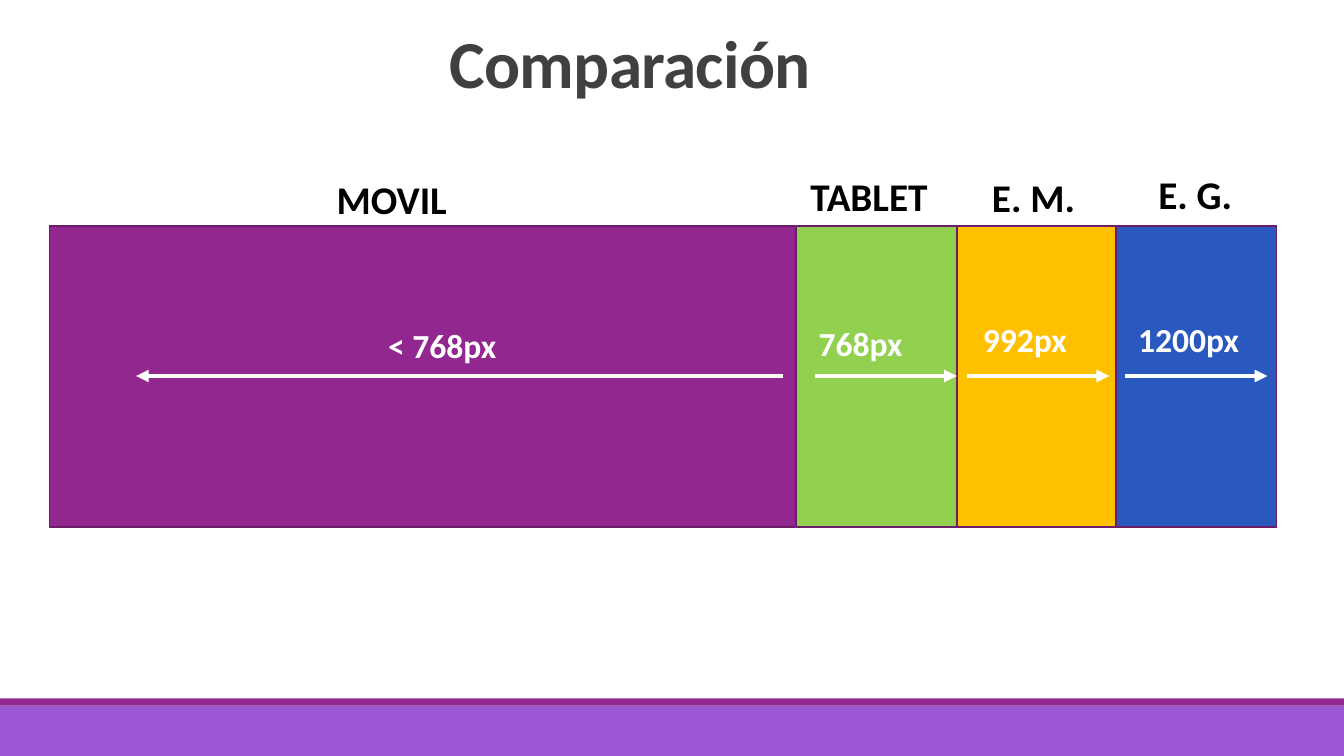
import pptx
import pptx.dml.color
import pptx.enum.shapes
import pptx.enum.text
import pptx.oxml.ns
import pptx.util
from lxml import etree
from pptx.util import Inches

FONT = "Calibri"
BAND_TOP, BAND_HEIGHT = 2.24, 2.99
ARROW_Y = 3.73

# left, width, fill, (name, left, top, width), (size, left, top, width), arrow start and end
RANGES = [
    (0.49, 7.4, "92278F", ("MOVIL", 3.24, 1.69, 1.31),
     ("< 768px", 3.75, 3.17, 1.28), (7.77, 1.35)),
    (7.9, 1.59, "92D050", ("TABLET", 7.94, 1.66, 1.38),
     ("768px", 8.02, 3.15, 1.04), (8.08, 9.49)),
    (9.49, 1.59, "FFC000", ("E. M.", 9.74, 1.67, 1.04),
     ("992px", 9.65, 3.11, 1.04), (9.59, 11)),
    (11.07, 1.59, "2958BE", ("E. G.", 11.39, 1.64, 0.94),
     ("1200px", 11.19, 3.11, 1.21), (11.16, 12.57)),
]


def paint(color_format, value):
    """Set a fill, line or font colour from a hex string."""
    color_format.rgb = pptx.dml.color.RGBColor.from_string(value)


def write(box, text, size, color, align=None, line_spacing=None, tracking=None):
    """Put one bold paragraph into a shape; tracking is in points."""
    para = box.text_frame.paragraphs[0]
    para.alignment = align
    para.line_spacing = line_spacing
    span = para.add_run()
    span.text = text
    span.font.name = FONT
    span.font.size = pptx.util.Pt(size)
    span.font.bold = True
    paint(span.font.color, color)
    if tracking is not None:
        span.font._element.set("spc", str(round(tracking * 100)))


def add_block(page, left, top, width, height, fill, outline=None):
    """Add a flat rectangle, outlined only when a line colour is given."""
    block = page.shapes.add_shape(
        pptx.enum.shapes.MSO_SHAPE.RECTANGLE,
        Inches(left), Inches(top), Inches(width), Inches(height))
    block.shadow.inherit = False
    block.fill.solid()
    paint(block.fill.fore_color, fill)
    if outline:
        paint(block.line.color, outline)
        block.line.width = pptx.util.Pt(1.25)
    else:
        block.line.fill.background()


def add_label(page, text, left, top, width, height, size, color):
    """Add a one-line label that does not wrap."""
    box = page.shapes.add_textbox(
        Inches(left), Inches(top), Inches(width), Inches(height))
    box.text_frame.word_wrap = False
    box.text_frame.auto_size = pptx.enum.text.MSO_AUTO_SIZE.SHAPE_TO_FIT_TEXT
    write(box, text, size, color)


def add_arrow(page, start, end):
    """Add a white horizontal arrow pointing at end."""
    arrow = page.shapes.add_connector(
        pptx.enum.shapes.MSO_CONNECTOR.STRAIGHT,
        Inches(start), Inches(ARROW_Y), Inches(end), Inches(ARROW_Y))
    paint(arrow.line.color, "FFFFFF")
    arrow.line.width = pptx.util.Pt(3)
    qn = pptx.oxml.ns.qn
    etree.SubElement(arrow.line._get_or_add_ln(), qn("a:tailEnd"), type="triangle")
    etree.SubElement(arrow._element.spPr, qn("a:effectLst"))


def set_title(page, text):
    """Place and format the title placeholder."""
    title = page.shapes.title
    title.left, title.top = Inches(0.75), Inches(0.28)
    title.width, title.height = Inches(11), Inches(1.59)
    title.text_frame.word_wrap = True
    title.text_frame.auto_size = pptx.enum.text.MSO_AUTO_SIZE.NONE
    title.text_frame.vertical_anchor = pptx.enum.text.MSO_ANCHOR.TOP
    write(title, text, 48, "404040", align=pptx.enum.text.PP_ALIGN.CENTER,
          line_spacing=0.85, tracking=-0.5)


def main():
    """Build the screen width comparison slide."""
    deck = pptx.Presentation()
    deck.slide_width, deck.slide_height = Inches(13.33), Inches(7.5)
    page = deck.slides.add_slide(deck.slide_layouts.get_by_name("Title Only"))

    add_block(page, 0, 7, 13.33, 0.5, "9B57D3")
    add_block(page, 0, 6.93, 13.33, 0.07, "92278F")
    set_title(page, "Comparación")
    for left, width, fill, *_ in RANGES:
        add_block(page, left, BAND_TOP, width, BAND_HEIGHT, fill, outline="6C1D6A")
    for *_, name, pixels, arrow in RANGES:
        add_arrow(page, *arrow)
        add_label(page, *name, height=0.57, size=28, color="000000")
        add_label(page, *pixels, height=0.5, size=24, color="FFFFFF")

    deck.save("out.pptx")


main()
